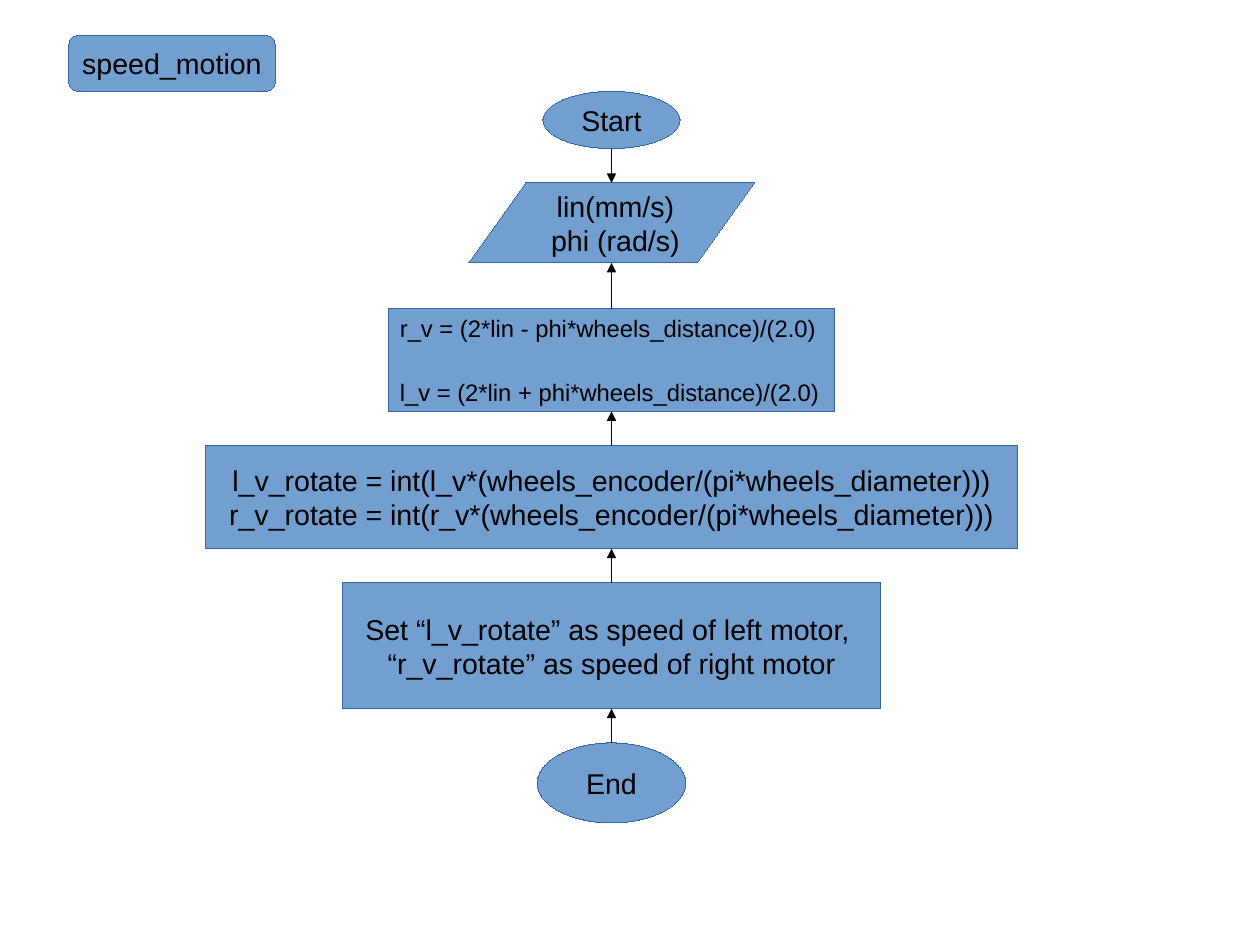
import pptx
import pptx.util
import pptx.dml.color
import pptx.enum.shapes
import pptx.enum.text
from lxml import etree

Pt = pptx.util.Pt
SHAPE = pptx.enum.shapes.MSO_SHAPE
ALIGN = pptx.enum.text.PP_ALIGN
COLORS = {"fill": "729FCF", "outline": "3465A4", "ink": "000000"}
AXIS = 385.2  # centre line of the flow
HAIRLINE = 0.01


def rgb(name):
    return pptx.dml.color.RGBColor.from_string(COLORS[name])


def add_step(kind, left, top, width, height, lines, size=18, align=ALIGN.CENTER, gap=0):
    step = slide.shapes.add_shape(kind, Pt(left), Pt(top), Pt(width), Pt(height))
    step.shadow.inherit = False
    step.fill.solid()
    step.fill.fore_color.rgb = rgb("fill")
    step.line.color.rgb = rgb("outline")
    step.line.width = Pt(HAIRLINE)
    frame = step.text_frame
    frame.word_wrap = True
    frame.vertical_anchor = pptx.enum.text.MSO_ANCHOR.MIDDLE
    for number, line in enumerate(lines):
        paragraph = frame.add_paragraph() if number else frame.paragraphs[0]
        paragraph.text = line
        paragraph.alignment = align
        if number and gap:
            paragraph.space_before = Pt(gap)
        paragraph.font.name = "Arial"
        paragraph.font.size = Pt(size)
        paragraph.font.color.rgb = rgb("ink")
    return step


presentation = pptx.Presentation()
presentation.slide_width = Pt(793.7)
presentation.slide_height = Pt(595.28)
slide = presentation.slides.add_slide(presentation.slide_layouts[6])

# Function name
function_name = add_step(SHAPE.ROUNDED_RECTANGLE, 43.2, 22.3, 130.3, 35.3, ["speed_motion"])
function_name.text_frame.word_wrap = False

# Flow steps: shape, top, width, height, lines, text options
wheel_speed_text = {"size": 15, "align": ALIGN.JUSTIFY, "gap": 21.8}
steps = [
    (SHAPE.OVAL, 57.6, 86.4, 36, ["Start"], {}),
    (SHAPE.FLOWCHART_DATA, 115.2, 180, 50.4, [" lin(mm/s)", " phi (rad/s)"], {}),
    (SHAPE.FLOWCHART_PROCESS, 194.4, 280.8, 64.8,
     ["r_v = (2*lin - phi*wheels_distance)/(2.0)",
      "l_v = (2*lin + phi*wheels_distance)/(2.0)"], wheel_speed_text),
    (SHAPE.FLOWCHART_PROCESS, 280.8, 511.2, 64.8,
     ["l_v_rotate = int(l_v*(wheels_encoder/(pi*wheels_diameter)))",
      "r_v_rotate = int(r_v*(wheels_encoder/(pi*wheels_diameter)))"], {}),
    (SHAPE.FLOWCHART_PROCESS, 367.2, 338.4, 79.2,
     ["Set “l_v_rotate” as speed of left motor, ",
      "“r_v_rotate” as speed of right motor"], {}),
    (SHAPE.FLOWCHART_CONNECTOR, 468, 93.6, 50.4, ["End"], {}),
]
for kind, top, width, height, lines, text_options in steps:
    add_step(kind, AXIS - width / 2, top, width, height, lines, **text_options)

# Arrows: the first points down, the others point up
for number, (upper, lower) in enumerate(zip(steps, steps[1:])):
    upper_edge, lower_edge = upper[1] + upper[3], lower[1]
    tail, tip = (lower_edge, upper_edge) if number else (upper_edge, lower_edge)
    arrow = slide.shapes.add_connector(
        pptx.enum.shapes.MSO_CONNECTOR.STRAIGHT, Pt(AXIS), Pt(tail), Pt(AXIS), Pt(tip))
    arrow.line.color.rgb = rgb("ink")
    arrow.line.width = Pt(HAIRLINE)
    etree.SubElement(arrow.line._get_or_add_ln(),
                     pptx.oxml.ns.qn("a:tailEnd"), type="triangle")
    etree.SubElement(arrow._element.spPr, pptx.oxml.ns.qn("a:effectLst"))

presentation.save("out.pptx")
